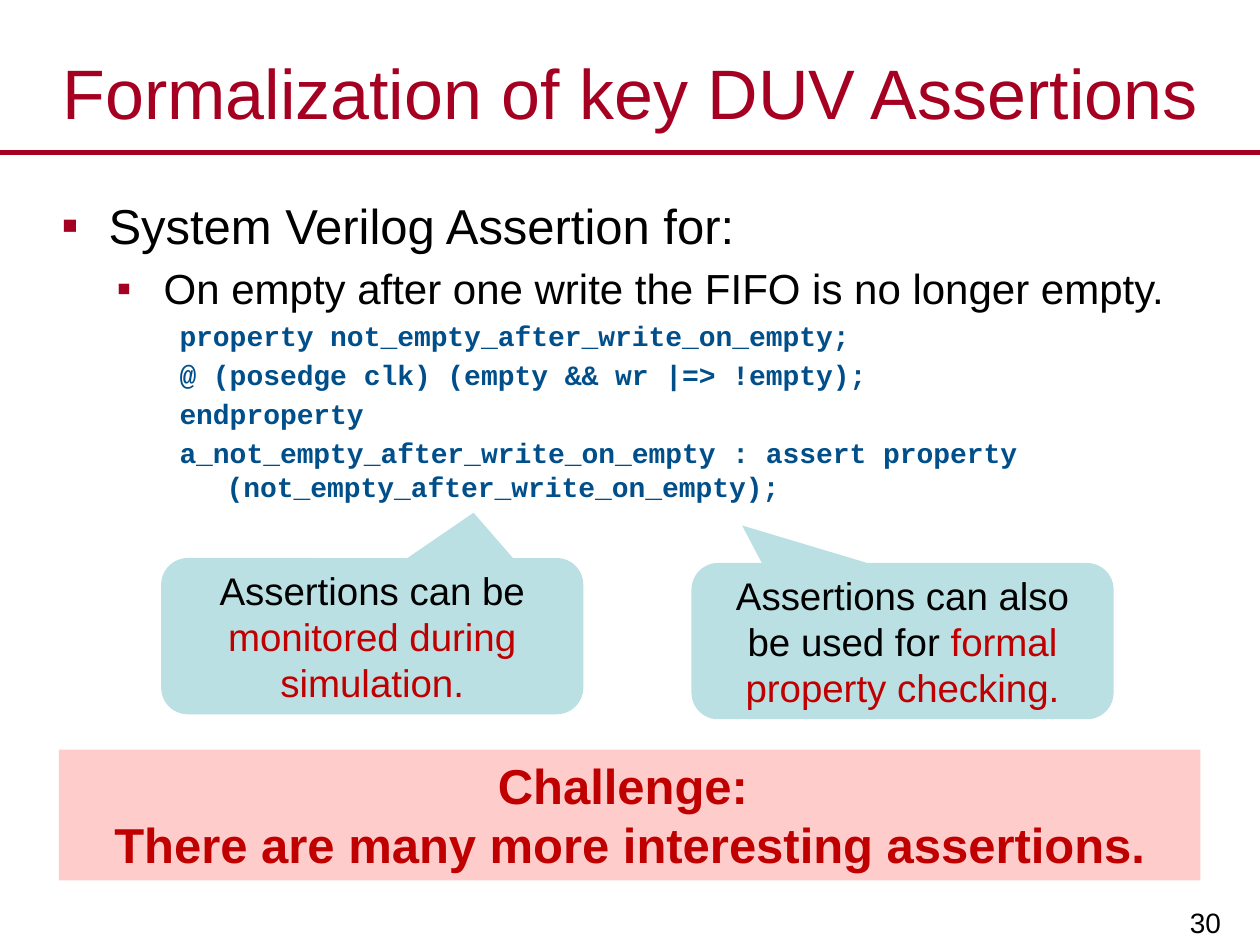
from dataclasses import dataclass

from lxml import etree
from pptx import Presentation
from pptx.dml.color import RGBColor
from pptx.enum.shapes import MSO_CONNECTOR, MSO_SHAPE
from pptx.enum.text import MSO_ANCHOR, PP_ALIGN
from pptx.oxml.ns import qn
from pptx.util import Cm, Pt

RECT, CALLOUT = MSO_SHAPE.RECTANGLE, MSO_SHAPE.ROUNDED_RECTANGULAR_CALLOUT
STRAIGHT = MSO_CONNECTOR.STRAIGHT
TOP, MIDDLE, BOTTOM = MSO_ANCHOR.TOP, MSO_ANCHOR.MIDDLE, MSO_ANCHOR.BOTTOM
LEFT, CENTER, RIGHT = PP_ALIGN.LEFT, PP_ALIGN.CENTER, PP_ALIGN.RIGHT


@dataclass(frozen=True)
class Theme:
    """Colours, fonts and type sizes of the slide."""
    accent: str = "A50021"
    ink: str = "000000"
    code: str = "004F8A"
    alert: str = "C00000"
    callout: str = "BBE0E3"
    banner: str = "FFCCCC"
    sans: str = "Arial"
    mono: str = "Courier New"
    title_size: int = 40
    head_size: int = 28
    sub_size: int = 24
    note_size: int = 22
    small_size: int = 16


T = Theme()


def set_frame(sp, anchor):
    """Make the text of a shape wrap and anchor it."""
    for name, value in {"word_wrap": True, "vertical_anchor": anchor}.items():
        setattr(sp.text_frame, name, value)
    return sp.text_frame


def add_paragraph(tf, runs, size, align=LEFT, font=T.sans, bold=False, gap=0):
    """Write one paragraph of (text, colour) runs, with a gap relative to its size."""
    p = tf.paragraphs[0]
    if p.runs:
        p = tf.add_paragraph()
    for name, value in {"alignment": align, "space_before": Pt(size * gap)}.items():
        setattr(p, name, value)
    for text, color in runs:
        r = p.add_run()
        r.text = text
        for name, value in {"name": font, "size": Pt(size), "bold": bold}.items():
            setattr(r.font, name, value)
        r.font.color.rgb = RGBColor.from_string(color)
    return p


def set_indent(p, left, bullet=False):
    """Hang a paragraph at a left margin, with a square bullet if asked."""
    pPr = p._p.get_or_add_pPr()
    pPr.set("marL", str(Cm(left)))
    pPr.set("indent", str(-Cm(0.95)))
    if bullet:
        clr = etree.SubElement(pPr, qn("a:buClr"))
        etree.SubElement(clr, qn("a:srgbClr"), val=T.accent)
        etree.SubElement(pPr, qn("a:buFont"), typeface=T.sans)
        etree.SubElement(pPr, qn("a:buChar"), char="▪")


def add_text(s, box, anchor):
    """Add a text box and return its text frame."""
    return set_frame(s.shapes.add_textbox(*map(Cm, box)), anchor)


def add_panel(s, kind, box, fill, anchor, adjustments=()):
    """Add a filled shape without outline and return its text frame."""
    sp = s.shapes.add_shape(kind, *map(Cm, box))
    sp.shadow.inherit = False
    sp.fill.solid()
    sp.fill.fore_color.rgb = RGBColor.from_string(fill)
    sp.line.fill.background()
    for i, value in enumerate(adjustments):
        sp.adjustments[i] = value
    return set_frame(sp, anchor)


def add_rule(s, y, width):
    """Draw the full-width line below the title."""
    ln = s.shapes.add_connector(STRAIGHT, 0, Cm(y), width, Cm(y))
    ln.line.color.rgb = RGBColor.from_string(T.accent)
    ln.line.width = Pt(3)
    etree.SubElement(ln._element.spPr, qn("a:effectLst"))


def add_body(s):
    """Write the bullets and the property code."""
    tf = add_text(s, (0.99, 3.81, 23.39, 9), TOP)
    bullets = [
        ("System Verilog Assertion for:", T.head_size, 0.95),
        ("On empty after one write the FIFO is no longer empty.", T.sub_size, 2.06),
    ]
    code = [
        "property not_empty_after_write_on_empty;",
        "@ (posedge clk) (empty && wr |=> !empty);",
        "endproperty",
        "a_not_empty_after_write_on_empty : assert property "
        "(not_empty_after_write_on_empty);",
    ]
    for text, size, left in bullets:
        set_indent(add_paragraph(tf, [(text, T.ink)], size, gap=0.2), left, bullet=True)
    for text in code:
        p = add_paragraph(tf, [(text, T.code)], T.small_size, font=T.mono, bold=True, gap=0.2)
        set_indent(p, 3.33)


def add_callout(s, left, top, tip, lead, stress):
    """Add a callout whose second run is stressed."""
    tf = add_panel(s, CALLOUT, (left, top, 8.51, 3.15), T.callout, MIDDLE, (*tip, 0.17))
    add_paragraph(tf, [(lead, T.ink), (stress, T.alert)], T.note_size, CENTER, gap=0.2)


def add_banner(s):
    """Add the closing challenge."""
    tf = add_panel(s, RECT, (1.19, 15.11, 23.01, 2.64), T.banner, TOP)
    for text in ("Challenge: ", "There are many more interesting assertions."):
        add_paragraph(tf, [(text, T.alert)], T.head_size, CENTER, bold=True)


def main():
    """Build and save the slide."""
    prs = Presentation()
    prs.slide_width, prs.slide_height = Cm(25.4), Cm(19.05)
    s = prs.slides.add_slide(prs.slide_layouts[6])
    add_rule(s, 3.07, prs.slide_width)
    tf = add_text(s, (19.81, 17.6, 5.05, 1.45), BOTTOM)
    add_paragraph(tf, [("30", T.ink)], T.small_size, RIGHT)
    tf = add_text(s, (0, 0.76, 25.4, 2.18), MIDDLE)
    title = "Formalization of key DUV Assertions"
    add_paragraph(tf, [(title, T.accent)], T.title_size, CENTER)
    add_body(s)
    add_callout(s, 3.25, 11.25, (0.24, -0.79),
                "Assertions can be ", "monitored during simulation.")
    add_callout(s, 13.94, 11.35, (-0.38, -0.74),
                "Assertions can also be used for ", "formal property checking.")
    add_banner(s)
    prs.save("out.pptx")


if __name__ == "__main__":
    main()
